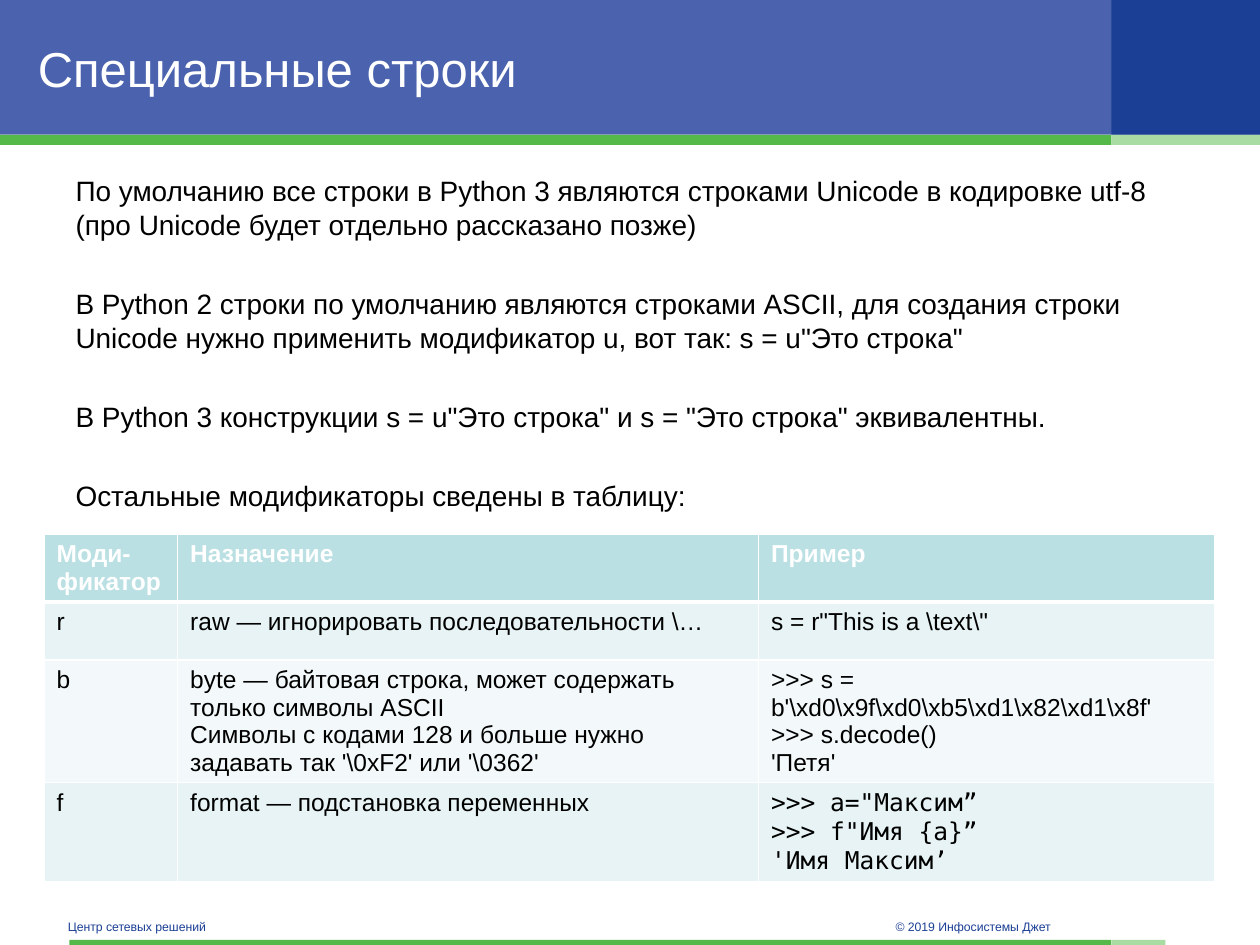
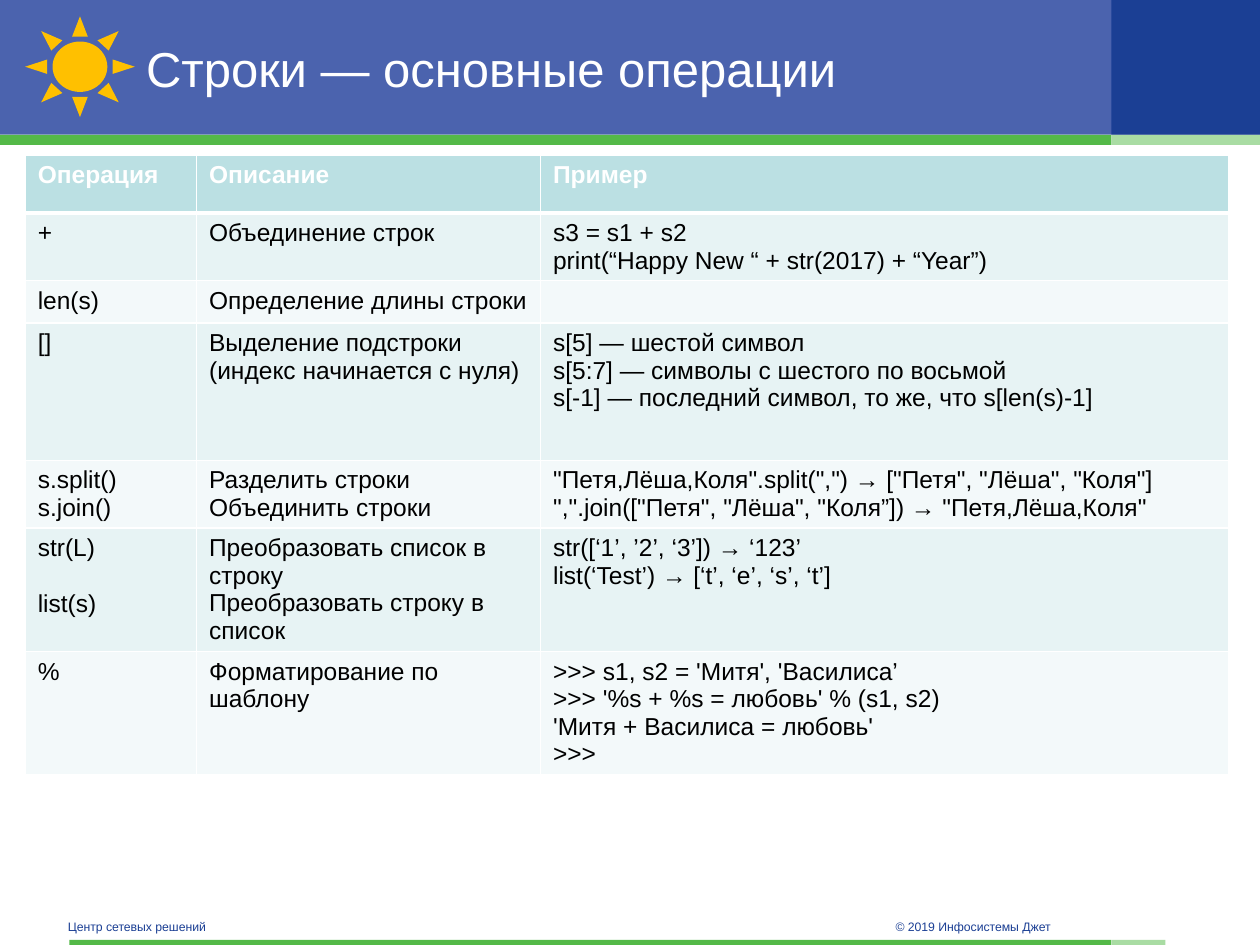
from lxml import etree
from pptx import Presentation
from pptx.dml.color import RGBColor
from pptx.enum.shapes import MSO_SHAPE
from pptx.enum.text import MSO_ANCHOR, PP_ALIGN
from pptx.oxml.ns import qn
from pptx.util import Inches, Pt

RECTANGLE, SUN = MSO_SHAPE.RECTANGLE, MSO_SHAPE.SUN
MIDDLE, LEFT = MSO_ANCHOR.MIDDLE, PP_ALIGN.LEFT
WHITE, BLACK = "FFFFFF", "000000"
BLUE, NAVY = "4B63AE", "1B3F94"
GREEN, PALE_GREEN = "54B948", "A9DCA3"
HEADER_FILL, BAND_FILLS = "BBE0E3", ("E7F3F4", "F3F9FA")


def paint(fill, colour):
    fill.solid()
    fill.fore_color.rgb = RGBColor.from_string(colour)


def write_text(frame, lines, size=14, colour=BLACK, font="Arial", bold=False, gap=0):
    """Replace the text of a frame; gap is the space in points between paragraphs."""
    frame.clear()
    frame.word_wrap = True
    for number, line in enumerate(lines):
        para = frame.add_paragraph() if number else frame.paragraphs[0]
        para.alignment = LEFT
        para.space_before = Pt(gap if number else 0)
        if not line:
            etree.SubElement(para._p, qn("a:endParaRPr"), sz=str(size * 100))
            continue
        span = para.add_run()
        span.text = line
        span.font.size, span.font.name, span.font.bold = Pt(size), font, bold
        paint(span.font.fill, colour)


deck = Presentation()
deck.slide_width, deck.slide_height = Inches(10), Inches(7.5)
strings_page = deck.slides.add_slide(deck.slide_layouts[1])
operations_page = deck.slides.add_slide(deck.slide_layouts[5])

# Bands and footers belong to the slide master
shared = []
for left, top, width, height, colour in [
    (0, 0, 10, 1.07, BLUE),
    (8.82, 0, 1.18, 1.07, NAVY),
    (0, 1.07, 8.82, 0.08, GREEN),
    (8.82, 1.07, 1.18, 0.08, PALE_GREEN),
    (0.55, 7.46, 8.27, 0.04, GREEN),
    (8.82, 7.46, 0.43, 0.04, PALE_GREEN),
]:
    band = strings_page.shapes.add_shape(
        RECTANGLE, Inches(left), Inches(top), Inches(width), Inches(height))
    band.shadow.inherit = False
    paint(band.fill, colour)
    band.line.fill.background()
    shared.append(band)

for left, width, text in [(0.44, 3.3, "Центр сетевых решений"),
                          (7.01, 2.36, "© 2019 Инфосистемы Джет")]:
    footer = strings_page.shapes.add_textbox(
        Inches(left), Inches(7.24), Inches(width), Inches(0.22))
    write_text(footer.text_frame, [text], size=7, colour=NAVY)
    footer.text_frame.vertical_anchor = MIDDLE
    shared.append(footer)

master_tree = deck.slide_master.shapes._spTree
for number, shape in enumerate(shared):
    shape._element.nvSpPr.cNvPr.set("id", str(100 + number))
    master_tree.insert(2 + number, shape._element)

# Titles
for page, left, text in [(strings_page, 0.2, "Специальные строки"),
                         (operations_page, 1.06, "Строки — основные операции")]:
    title = page.shapes.title
    title.left, title.top = Inches(left), Inches(0.14)
    title.width, title.height = Inches(8.63 - left), Inches(0.79)
    write_text(title.text_frame, [text], size=28, colour=WHITE)
    title.text_frame.vertical_anchor = MIDDLE

# Explanation above the first table
body = strings_page.placeholders[1]
body.left, body.top, body.width, body.height = (
    Inches(0.5), Inches(1.33), Inches(9), Inches(2.8))
write_text(body.text_frame, [
    "По умолчанию все строки в Python 3 являются строками Unicode в кодировке utf-8 "
    "(про Unicode будет отдельно рассказано позже)",
    "В Python 2 строки по умолчанию являются строками ASCII, для создания строки "
    'Unicode нужно применить модификатор u, вот так: s = u"Это строка"',
    'В Python 3 конструкции s = u"Это строка" и s = "Это строка" эквивалентны.',
    "Остальные модификаторы сведены в таблицу:",
], size=16, gap=26)
for para in body.text_frame.paragraphs:
    properties = para._p.get_or_add_pPr()
    properties.set("marL", "0")
    properties.set("indent", "0")
    etree.SubElement(properties, qn("a:buNone"))

# Tables: each cell is text whose lines become paragraphs
modifier_rows = [
    ("Моди-фикатор", "Назначение", "Пример"),
    ("r", "raw — игнорировать последовательности \\…", 's = r"This is a \\text\\"'),
    ("b",
     "byte — байтовая строка, может содержать только символы ASCII\n"
     "Символы с кодами 128 и больше нужно задавать так '\\0xF2' или '\\0362'",
     ">>> s = b'\\xd0\\x9f\\xd0\\xb5\\xd1\\x82\\xd1\\x8f'\n>>> s.decode()\n'Петя'"),
    ("f", "format — подстановка переменных",
     ">>> a=\"Максим”\n>>> f\"Имя {a}”\n'Имя Максим’"),
]
operation_rows = [
    ("Операция", "Описание", "Пример"),
    ("+", "Объединение строк",
     "s3 = s1 + s2\nprint(“Happy New “ + str(2017) + “Year”)"),
    ("len(s)", "Определение длины строки", ""),
    ("[]", "Выделение подстроки (индекс начинается с нуля)",
     "s[5] — шестой символ\ns[5:7] — символы с шестого по восьмой\n"
     "s[-1] — последний символ, то же, что s[len(s)-1]"),
    ("s.split()\ns.join()", "Разделить строки\nОбъединить строки",
     '"Петя,Лёша,Коля".split(",") → ["Петя", "Лёша", "Коля"]\n'
     '",".join(["Петя", "Лёша", "Коля”]) → "Петя,Лёша,Коля"'),
    ("str(L)\nlist(s)", "Преобразовать список в строку\nПреобразовать строку в список",
     "str([‘1’, ’2’, ‘3’]) → ‘123’\nlist(‘Test’) → [‘t’, ‘e’, ‘s’, ‘t’]"),
    ("%", "Форматирование по шаблону",
     ">>> s1, s2 = 'Митя', 'Василиса’\n>>> '%s + %s = любовь' % (s1, s2)\n"
     "'Митя + Василиса = любовь'\n>>>"),
]
tables = []
for page, left, top, widths, heights, rows in [
    (strings_page, 0.35, 4.24, (1.06, 4.61, 3.62), (0.53, 0.46, 0.97, 0.79),
     modifier_rows),
    (operations_page, 0.2, 1.23, (1.36, 2.73, 5.46),
     (0.46, 0.53, 0.32, 1.09, 0.53, 0.98, 0.97), operation_rows),
]:
    table = page.shapes.add_table(
        len(rows), len(widths), Inches(left), Inches(top),
        Inches(sum(widths)), Inches(sum(heights))).table
    table.horz_banding = False
    tables.append(table)
    for column, width in zip(table.columns, widths):
        column.width = Inches(width)
    for row_number, (row, height) in enumerate(zip(rows, heights)):
        table.rows[row_number].height = Inches(height)
        is_header = row_number == 0
        for column_number, text in enumerate(row):
            cell = table.cell(row_number, column_number)
            write_text(cell.text_frame, text.split("\n"), bold=is_header,
                       colour=WHITE if is_header else BLACK)
            for side in ("lnL", "lnR", "lnT", "lnB"):
                thick = (is_header and side == "lnB") or (row_number == 1 and side == "lnT")
                border = etree.SubElement(cell._tc.get_or_add_tcPr(), qn("a:" + side),
                                          w=str(Pt(3 if thick else 1)))
                line_fill = etree.SubElement(border, qn("a:solidFill"))
                etree.SubElement(line_fill, qn("a:srgbClr"), val=WHITE)
            paint(cell.fill, HEADER_FILL if is_header else BAND_FILLS[(row_number - 1) % 2])

modifiers, operations = tables
write_text(modifiers.cell(3, 2).text_frame, modifier_rows[3][2].split("\n"),
           font="DejaVu Sans Mono")
write_text(operations.cell(5, 0).text_frame, operation_rows[5][0].split("\n"), gap=16)

sun = operations_page.shapes.add_shape(
    SUN, Inches(0.2), Inches(0.13), Inches(0.87), Inches(0.8))
sun.shadow.inherit = False
paint(sun.fill, "FFC000")
sun.line.fill.background()

deck.save("out.pptx")
